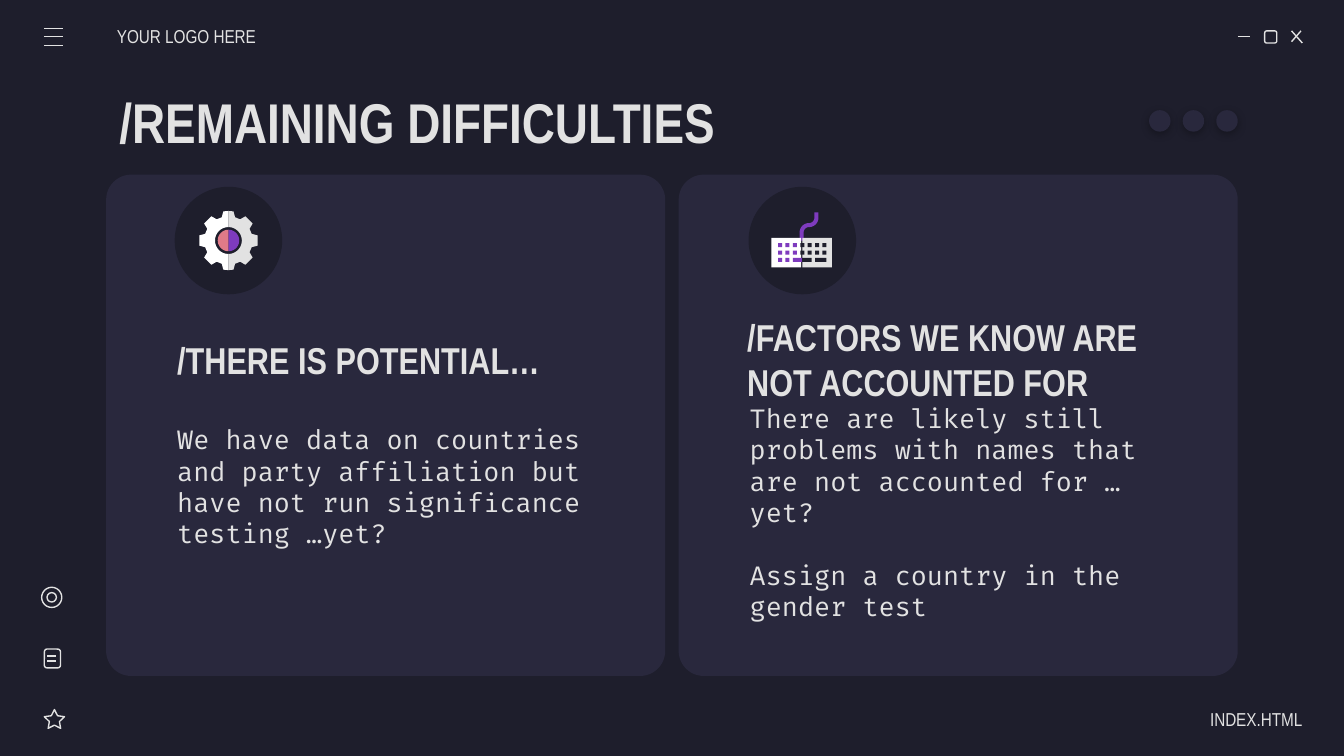
from math import cos, radians, sin

from lxml.etree import SubElement
from pptx import Presentation
from pptx.dml.color import RGBColor
from pptx.enum.shapes import MSO_CONNECTOR, MSO_SHAPE as Preset
from pptx.enum.text import MSO_ANCHOR, PP_ALIGN as Align
from pptx.oxml import parse_xml
from pptx.oxml.ns import nsdecls, qn
from pptx.util import Inches, Pt

THEME = {
    "background": "1E1E2C", "card": "29283D", "light": "E2E2E2", "white": "FFFFFF",
    "purple": "7E3BBE", "pink": "E07A88",
    "heading_font": "Arial Narrow", "body_font": "Fira Code",
    "title": 30, "heading": 20, "body": 14, "label": 10, "line": 0.75, "paragraph_gap": 16.8,
}

# left, top, width, height, paragraphs, size, font, bold, alignment, left inset, right inset
TEXTS = [
    (0.87, 0.12, 1.17, 0.3, ["YOUR LOGO HERE"], "label", "heading_font", False, Align.LEFT, 0, 0.1),
    (0.79, 0.59, 8.43, 0.63, ["/REMAINING DIFFICULTIES"],
     "title", "heading_font", True, Align.LEFT, 0.1, 0.1),
    (1.22, 2.42, 3.22, 0.51, ["/THERE IS POTENTIAL…"],
     "heading", "heading_font", True, Align.LEFT, 0.1, 0.1),
    (1.22, 2.92, 3.22, 1.4,
     ["We have data on countries and party affiliation but have not run significance testing …yet?"],
     "body", "body_font", False, Align.LEFT, 0.1, 0.1),
    (5.56, 2.52, 3.22, 0.3, ["/FACTORS WE KNOW ARE NOT ACCOUNTED FOR"],
     "heading", "heading_font", True, Align.LEFT, 0, 0.1),
    (5.48, 2.92, 3.22, 1.78,
     ["There are likely still problems with names that are not accounted for …yet?",
      "Assign a country in the gender test"],
     "body", "body_font", False, Align.LEFT, 0.1, 0.1),
    (8.52, 5.2, 1.17, 0.3, ["INDEX.HTML"], "label", "heading_font", False, Align.RIGHT, 0.1, 0),
]
MENU_LINES = [(0.33, y, 0.47, y) for y in (0.21, 0.27, 0.34)]
WINDOW_LINES = [(9.21, 0.27, 9.3, 0.27), (9.61, 0.23, 9.69, 0.32), (9.68, 0.23, 9.61, 0.31)]
NOTE_LINES = [(0.35, y, 0.42, y) for y in (4.88, 4.92)]
OUTLINES = [
    (Preset.ROUNDED_RECTANGLE, 9.41, 0.23, 0.09, 0.09),
    (Preset.STAR_5_POINT, 0.33, 5.28, 0.15, 0.14),
    (Preset.ROUNDED_RECTANGLE, 0.33, 4.83, 0.12, 0.14),
    (Preset.OVAL, 0.31, 4.37, 0.15, 0.15),
    (Preset.OVAL, 0.35, 4.41, 0.07, 0.07),
]
CARD_LEFTS = (0.79, 5.05)
BADGE_LEFTS = (1.3, 5.57)
DOT_LEFTS = (8.55, 8.8, 9.05)
GEAR_CENTER = (1.7, 1.79)
TOOTH = [(-16, 0.18), (-10, 0.22), (10, 0.22), (16, 0.18)]
KEY_PITCH, KEY_SIZE = 0.33 / 6, 0.03
FULL_KEY_ROW = [(column, 1, "purple" if column < 3 else "background") for column in range(7)]
KEY_ROWS = [
    FULL_KEY_ROW,
    FULL_KEY_ROW,
    [(0, 1, "purple"), (1, 1, "purple"), (2, 1.75, "purple"),
     (3.25, 1.75, "background"), (5, 2, "background")],
]


def color(name):
    """Return a theme colour."""
    return RGBColor.from_string(THEME[name])


def add_shape(slide, preset, left, top, width, height, fill=None, line=None):
    """Add a preset shape with an optional fill and outline."""
    shape = slide.shapes.add_shape(preset, *map(Inches, (left, top, width, height)))
    return paint(shape, fill, line)


def paint(shape, fill=None, line=None):
    """Set a shape's fill and outline and remove its shadow."""
    shape.shadow.inherit = False
    if fill:
        shape.fill.solid()
        shape.fill.fore_color.rgb = color(fill)
    else:
        shape.fill.background()
    if line:
        shape.line.color.rgb = color(line)
        shape.line.width = Pt(THEME["line"])
    else:
        shape.line.fill.background()
    return shape


def add_line(slide, *ends):
    """Add a thin light line."""
    connector = slide.shapes.add_connector(MSO_CONNECTOR.STRAIGHT, *map(Inches, ends))
    connector.line.color.rgb = color("light")
    connector.line.width = Pt(THEME["line"])
    SubElement(connector._element.spPr, qn("a:effectLst"))


def add_outline(slide, points, fill):
    """Add a filled closed polygon through points in inches."""
    points = [(Inches(x), Inches(y)) for x, y in points]
    builder = slide.shapes.build_freeform(*points[0])
    builder.add_line_segments(points[1:], close=True)
    paint(builder.convert_to_shape(), fill)


def arc(center, radius, start, end, steps=24):
    """Return points along an arc, in degrees clockwise from the right."""
    angles = [radians(start + (end - start) * step / steps) for step in range(steps + 1)]
    return [(center[0] + radius * cos(a), center[1] + radius * sin(a)) for a in angles]


def add_text(slide, left, top, width, height, lines, size, font, bold, align, inset_left, inset_right):
    """Add a vertically centred text box."""
    frame = slide.shapes.add_textbox(*map(Inches, (left, top, width, height))).text_frame
    frame.word_wrap = True
    frame.vertical_anchor = MSO_ANCHOR.MIDDLE
    frame.margin_left, frame.margin_right = Inches(inset_left), Inches(inset_right)
    frame.margin_top = frame.margin_bottom = Inches(0.1)
    for index, line in enumerate(lines):
        paragraph = frame.add_paragraph() if index else frame.paragraphs[0]
        paragraph.text = line
        paragraph.alignment = align
        if index:
            paragraph.space_before = Pt(THEME["paragraph_gap"])
        paragraph.font.size = Pt(THEME[size])
        paragraph.font.name = THEME[font]
        paragraph.font.bold = bold
        paragraph.font.color.rgb = color("light")


def add_gear(slide):
    """Draw the two-tone gear, one half at a time."""
    center_x, center_y = GEAR_CENTER
    for side, rim, hub in ((1, "light", "purple"), (-1, "white", "pink")):
        teeth = [(45 * tooth + offset, radius) for tooth in range(5) for offset, radius in TOOTH]
        profile = [(0, 0.22)] + [point for point in teeth if 0 < point[0] < 180] + [(180, 0.22)]
        rim_points = [(center_x + side * radius * sin(radians(angle)),
                       center_y - radius * cos(radians(angle))) for angle, radius in profile]
        add_outline(slide, rim_points + arc(GEAR_CENTER, 0.1, 90, 90 - side * 180), rim)
        add_outline(slide, arc(GEAR_CENTER, 0.08, 90, 90 - side * 180), hub)


def add_keyboard(slide):
    """Draw the keyboard with its cable and keys."""
    upper, lower = (6.02, 1.62), (6.02, 1.73)
    cable = ([(6.06, 1.58)] + arc(upper, 0.04, 0, 90) + arc(lower, 0.07, 270, 180)
             + [(5.95, 1.79), (5.98, 1.79)] + arc(lower, 0.04, 180, 270)
             + arc(upper, 0.07, 90, 0) + [(6.09, 1.58)])
    add_outline(slide, cable, "purple")
    for left, fill in ((5.97, "light"), (5.74, "white")):
        add_shape(slide, Preset.RECTANGLE, left, 1.77, 0.22, 0.22, fill)
    for row, keys in enumerate(KEY_ROWS):
        for column, span, fill in keys:
            add_shape(slide, Preset.RECTANGLE, 5.79 + column * KEY_PITCH, 1.81 + row * KEY_PITCH,
                      (span - 1) * KEY_PITCH + KEY_SIZE, KEY_SIZE, fill)


def add_dot(slide, left):
    """Add a dot with a soft shadow below it."""
    properties = add_shape(slide, Preset.OVAL, left, 0.82, 0.16, 0.16, "card")._element.spPr
    properties.remove(properties.find(qn("a:effectLst")))
    properties.append(parse_xml(
        f'<a:effectLst {nsdecls("a")}><a:outerShdw blurRad="{Pt(4.5)}" dist="{Pt(1.5)}" '
        'dir="5400000" algn="bl" rotWithShape="0"><a:srgbClr val="000000">'
        '<a:alpha val="30000"/></a:srgbClr></a:outerShdw></a:effectLst>'))


def main():
    """Build the slide and save it."""
    presentation = Presentation()
    presentation.slide_width = Inches(10)
    presentation.slide_height = presentation.slide_width * 9 // 16
    slide = presentation.slides.add_slide(presentation.slide_layouts[6])
    slide.background.fill.solid()
    slide.background.fill.fore_color.rgb = color("background")
    for left in CARD_LEFTS:
        card = add_shape(slide, Preset.ROUNDED_RECTANGLE, left, 1.3, 4.16, 3.73, "card")
        card.adjustments[0] = 0.05
    for left in BADGE_LEFTS:
        add_shape(slide, Preset.OVAL, left, 1.39, 0.8, 0.8, "background")
    for ends in MENU_LINES + WINDOW_LINES + NOTE_LINES:
        add_line(slide, *ends)
    for outline in OUTLINES:
        shape = add_shape(slide, *outline, line="light")
        if outline[0] == Preset.STAR_5_POINT:
            shape.adjustments[0] = 0.25
    add_gear(slide)
    add_keyboard(slide)
    for left in DOT_LEFTS:
        add_dot(slide, left)
    for text in TEXTS:
        add_text(slide, *text)
    presentation.save("out.pptx")


if __name__ == "__main__":
    main()
